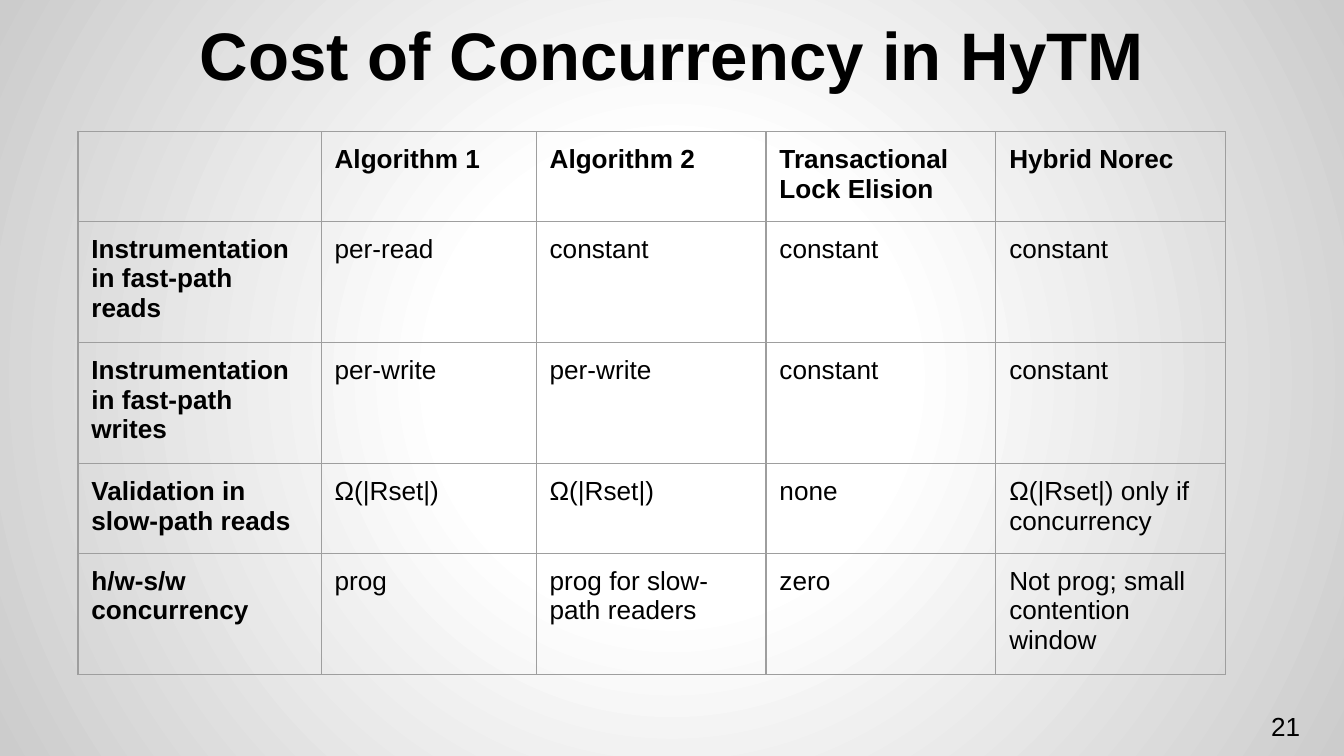
from lxml import etree
from pptx import Presentation
from pptx.dml.color import RGBColor
from pptx.enum.text import MSO_ANCHOR, MSO_AUTO_SIZE, PP_ALIGN
from pptx.oxml import parse_xml
from pptx.oxml.ns import nsdecls, qn
from pptx.util import Inches, Pt

BOTTOM, MIDDLE = MSO_ANCHOR.BOTTOM, MSO_ANCHOR.MIDDLE
CENTER = PP_ALIGN.CENTER
NO_AUTOFIT = MSO_AUTO_SIZE.NONE

BLACK = RGBColor(0x00, 0x00, 0x00)
WHITE = RGBColor(0xFF, 0xFF, 0xFF)
EDGE_GRAY = RGBColor(0xCC, 0xCC, 0xCC)
BORDER_GRAY = RGBColor(0x9E, 0x9E, 0x9E)

FONT = "Arial"
INSET = Inches(0.1)
BORDER_WIDTH = Pt(0.75)
SLIDE_WIDTH = Inches(10)
SLIDE_HEIGHT = SLIDE_WIDTH * 9 // 16
TITLE_ONLY = 5

COLUMN_WIDTHS = [1.81, 1.6, 1.71, 1.71, 1.71]
ROW_HEIGHTS = [0.4, 0.82, 0.82, 0.61, 0.61]
COMPARISON = [
    ["", "Algorithm 1", "Algorithm 2", "Transactional Lock Elision", "Hybrid Norec"],
    ["Instrumentation in fast-path reads",
     "per-read", "constant", "constant", "constant"],
    ["Instrumentation in fast-path writes",
     "per-write", "per-write", "constant", "constant"],
    ["Validation in slow-path reads",
     "Ω(|Rset|)", "Ω(|Rset|)", "none", "Ω(|Rset|) only if concurrency"],
    ["h/w-s/w concurrency",
     "prog", "prog for slow-path readers", "zero", "Not prog; small contention window"],
]


def set_radial_background(slide):
    """Fade from white in the centre to gray at the edges."""
    stops = "".join(
        f'<a:gs pos="{percent * 1000}"><a:srgbClr val="{color}"/></a:gs>'
        for percent, color in [(0, WHITE), (30, WHITE), (100, EDGE_GRAY)])
    background = parse_xml(
        f'<p:bg {nsdecls("p", "a")}><p:bgPr><a:gradFill><a:gsLst>{stops}</a:gsLst>'
        '<a:path path="circle"><a:fillToRect l="50000" t="50000" r="50000" b="50000"/>'
        '</a:path></a:gradFill><a:effectLst/></p:bgPr></p:bg>')
    slide.element.cSld.insert(0, background)


def set_insets(holder):
    holder.margin_left = holder.margin_right = INSET
    holder.margin_top = holder.margin_bottom = INSET


def write_text(frame, text, size, bold=False):
    """Fill the frame; the paragraph mark gets the text size so lines stay tight."""
    frame.text = text
    paragraph = frame.paragraphs[0]
    font = paragraph.font
    font.name, font.size, font.bold = FONT, Pt(size), bold
    font.color.rgb = BLACK
    etree.SubElement(paragraph._p, qn("a:endParaRPr"), sz=str(size * 100))
    return paragraph


def add_title(slide, text):
    title = slide.shapes.title
    title.left, title.top = Inches(0.5), Inches(0.09)
    title.width, title.height = Inches(9), Inches(0.71)
    frame = title.text_frame
    set_insets(frame)
    frame.auto_size = NO_AUTOFIT
    frame.vertical_anchor = BOTTOM
    write_text(frame, text, 36, bold=True).alignment = CENTER


def add_page_number(slide, number):
    box = slide.shapes.add_textbox(Inches(9.36), Inches(5.19), Inches(0.6), Inches(0.43))
    frame = box.text_frame
    set_insets(frame)
    frame.word_wrap = True
    frame.vertical_anchor = MIDDLE
    write_text(frame, number, 14)


def set_borders(cell):
    properties = cell._tc.get_or_add_tcPr()
    for side in ("a:lnL", "a:lnR", "a:lnT", "a:lnB"):
        line = etree.SubElement(properties, qn(side), w=str(BORDER_WIDTH))
        fill = etree.SubElement(line, qn("a:solidFill"))
        etree.SubElement(fill, qn("a:srgbClr"), val=str(BORDER_GRAY))


def add_comparison_table(slide):
    table = slide.shapes.add_table(
        len(ROW_HEIGHTS), len(COLUMN_WIDTHS), Inches(0.58), Inches(0.98),
        Inches(sum(COLUMN_WIDTHS)), Inches(sum(ROW_HEIGHTS))).table
    table.first_row = table.horz_banding = False
    for column, width in zip(table.columns, COLUMN_WIDTHS):
        column.width = Inches(width)
    for row, height in zip(table.rows, ROW_HEIGHTS):
        row.height = Inches(height)
    for r, labels in enumerate(COMPARISON):
        for c, label in enumerate(labels):
            cell = table.cell(r, c)
            set_insets(cell)
            write_text(cell.text_frame, label, 14, bold=r == 0 or c == 0)
            set_borders(cell)
            cell.fill.background()


def main():
    deck = Presentation()
    deck.slide_width, deck.slide_height = SLIDE_WIDTH, SLIDE_HEIGHT
    slide = deck.slides.add_slide(deck.slide_layouts[TITLE_ONLY])
    set_radial_background(slide)
    add_title(slide, "Cost of Concurrency in HyTM")
    add_page_number(slide, "21")
    add_comparison_table(slide)
    deck.save("out.pptx")


if __name__ == "__main__":
    main()
